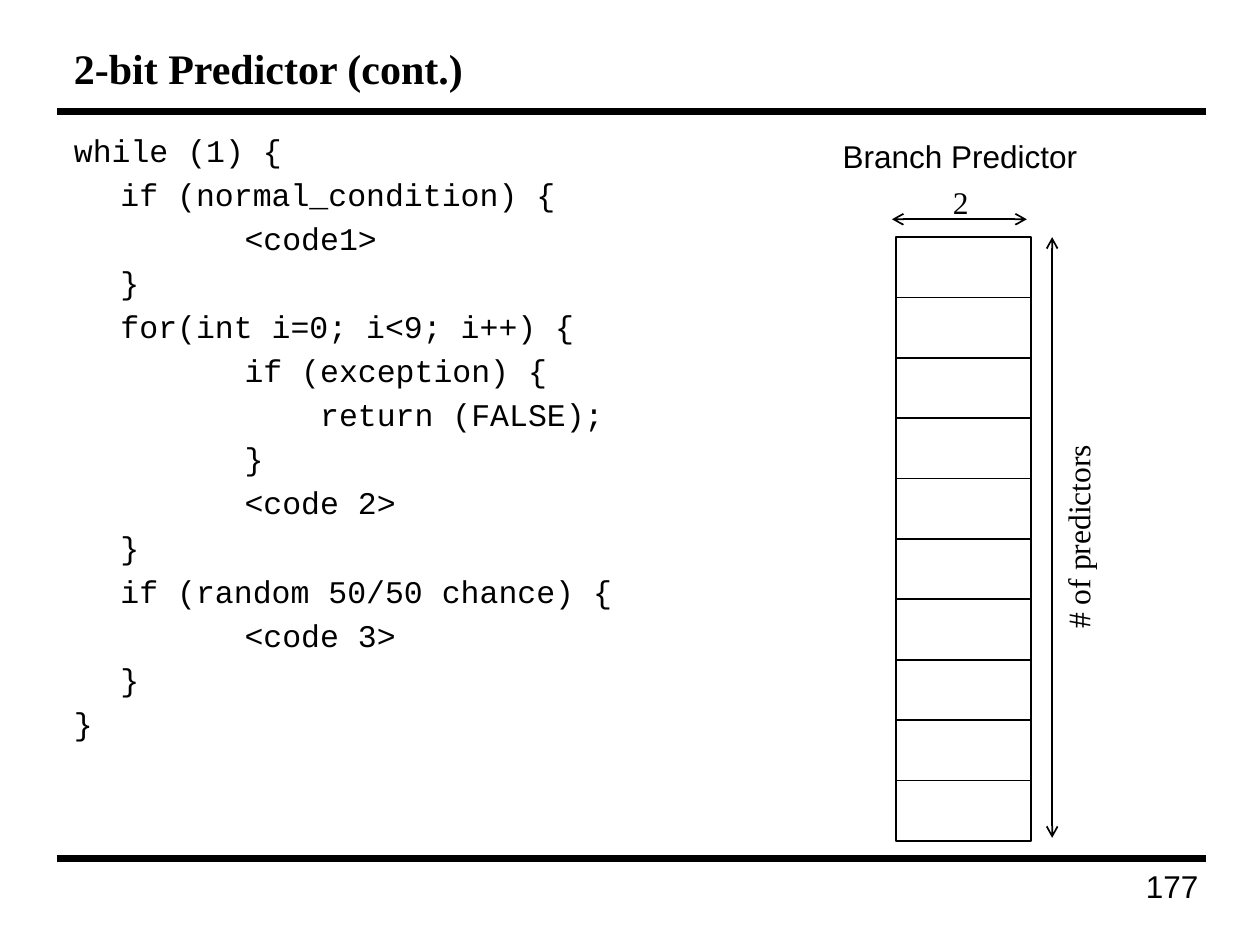
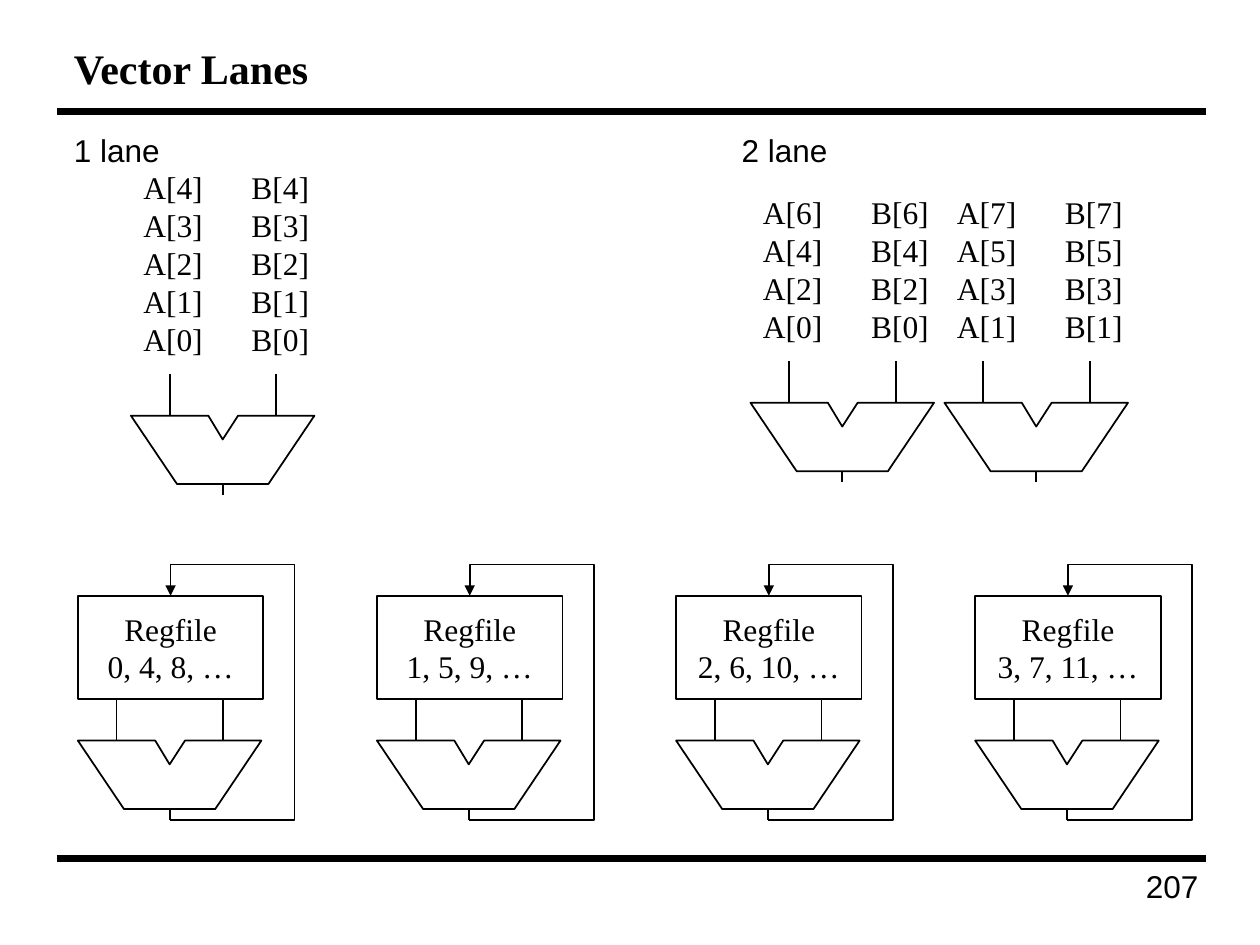
from pptx import Presentation
from pptx.dml.color import RGBColor
from pptx.enum.shapes import MSO_CONNECTOR as CONNECTOR, MSO_SHAPE as SHAPE
from pptx.enum.text import MSO_ANCHOR as ANCHOR, MSO_AUTO_SIZE as AUTO_SIZE, PP_ALIGN as ALIGN
from pptx.oxml.ns import qn
from pptx.util import Cm, Pt
from lxml import etree

BLACK = RGBColor(0, 0, 0)
WHITE = RGBColor(255, 255, 255)
SANS, SERIF, MONO = "Arial", "Times New Roman", "Courier New"
BODY_SIZE, TITLE_SIZE = 18, 24

RULE_LEFT, RULE_RIGHT = 1.14, 24.31
RULE_TOPS = (2.24, 17.3)
TEXT_LEFT, TEXT_WIDTH = 1.24, 22.96
BODY_TOP = 2.51

CODE_INDENTS = (0, 0.94, 3.44)
CODE = [
    (0, "while (1) {"),
    (1, "if (normal_condition) {"),
    (2, "<code1>"),
    (1, "}"),
    (1, "for(int i=0; i<9; i++) {"),
    (2, "if (exception) {"),
    (2, "    return (FALSE);"),
    (2, "}"),
    (2, "<code 2>"),
    (1, "}"),
    (1, "if (random 50/50 chance) {"),
    (2, "<code 3>"),
    (1, "}"),
    (0, "}"),
]

ALU_OUTLINE = [(0, 0), (0.93, 1.38), (2.77, 1.38), (3.7, 0),
               (2.16, 0), (1.85, 0.48), (1.56, 0)]
ALU_INPUTS = (0.78, 2.93)
ALU_OUTPUT, ALU_BOTTOM = 1.85, 1.38
INPUT_LENGTH, OUTPUT_LENGTH = 0.84, 0.22


def style_paragraph(paragraph, font_name=SERIF, size=BODY_SIZE, align=ALIGN.LEFT, bold=False):
    paragraph.alignment = align
    paragraph.line_spacing = Pt(1.2 * size)
    font = paragraph.font
    font.name, font.size, font.bold = font_name, Pt(size), bold
    font.color.rgb = BLACK


def write_lines(text_frame, lines, **style):
    for index, line in enumerate(lines):
        paragraph = text_frame.add_paragraph() if index else text_frame.paragraphs[0]
        paragraph.text = line
        style_paragraph(paragraph, **style)


def add_text(slide, left, top, width, height, lines, anchor=ANCHOR.TOP, **style):
    box = slide.shapes.add_textbox(Cm(left), Cm(top), Cm(width), Cm(height))
    text_frame = box.text_frame
    text_frame.word_wrap = True
    text_frame.auto_size = AUTO_SIZE.NONE
    text_frame.vertical_anchor = anchor
    write_lines(text_frame, lines, **style)
    return box


def add_arrowheads(shape, kind, *ends):
    line = shape.line._get_or_add_ln()
    for end in ends:
        etree.SubElement(line, qn(f"a:{end}"), type=kind)


def add_line(slide, start, end, width=1):
    ends = [Cm(value) for value in (*start, *end)]
    line = slide.shapes.add_connector(CONNECTOR.STRAIGHT, *ends)
    line.line.color.rgb = BLACK
    line.line.width = Pt(width)
    etree.SubElement(line._element.spPr, qn("a:effectLst"))
    return line


def add_double_arrow(slide, start, end):
    add_arrowheads(add_line(slide, start, end), "arrow", "headEnd", "tailEnd")


def style_outline(shape, filled=True):
    shape.shadow.inherit = False
    if filled:
        shape.fill.solid()
        shape.fill.fore_color.rgb = WHITE
    else:
        shape.fill.background()
    shape.line.color.rgb = BLACK
    shape.line.width = Pt(1)


def add_box(slide, left, top, width, height):
    box = slide.shapes.add_shape(SHAPE.RECTANGLE, Cm(left), Cm(top), Cm(width), Cm(height))
    style_outline(box)
    return box


def add_path(slide, points, closed):
    points = [(Cm(x), Cm(y)) for x, y in points]
    builder = slide.shapes.build_freeform(*points[0])
    builder.add_line_segments(points[1:], close=closed)
    path = builder.convert_to_shape()
    style_outline(path, filled=closed)
    return path


def add_alu(slide, left, top):
    add_path(slide, [(left + x, top + y) for x, y in ALU_OUTLINE], closed=True)
    for offset in ALU_INPUTS:
        add_line(slide, (left + offset, top - INPUT_LENGTH), (left + offset, top))
    output, bottom = left + ALU_OUTPUT, top + ALU_BOTTOM
    add_line(slide, (output, bottom), (output, bottom + OUTPUT_LENGTH))


def add_lane(slide, left, top, indexes):
    add_alu(slide, left, top)
    for vector, offset in (("A", 0), ("B", 2.18)):
        elements = [f"{vector}[{index}]" for index in indexes]
        add_text(slide, left + offset, top - 5.11, 2, 4.06, elements, anchor=ANCHOR.BOTTOM)


def add_register_lane(slide, left, registers):
    top, width, height = 12.01, 3.74, 2.08
    regfile = add_box(slide, left, top, width, height)
    regfile.text_frame.vertical_anchor = ANCHOR.MIDDLE
    write_lines(regfile.text_frame, ["Regfile", registers], align=ALIGN.CENTER)

    alu_top = top + height + INPUT_LENGTH
    add_alu(slide, left, alu_top)
    output, centre, right = left + ALU_OUTPUT, left + width / 2, left + 4.37
    loop_bottom, loop_top = alu_top + ALU_BOTTOM + OUTPUT_LENGTH, top - 0.63
    write_back = add_path(slide, [(output, loop_bottom), (right, loop_bottom), (right, loop_top),
                                  (centre, loop_top), (centre, top)], closed=False)
    add_arrowheads(write_back, "triangle", "tailEnd")


def add_framed_slide(presentation, title, number):
    slide = presentation.slides.add_slide(presentation.slide_layouts[6])
    for top in RULE_TOPS:
        add_line(slide, (RULE_LEFT, top), (RULE_RIGHT, top), width=4)
    add_text(slide, TEXT_LEFT, 0.64, TEXT_WIDTH, 1.47, [title],
             anchor=ANCHOR.MIDDLE, size=TITLE_SIZE, bold=True)
    add_text(slide, 19.2, 17.35, 5.21, 1.24, [str(number)], font_name=SANS, align=ALIGN.RIGHT)
    return slide


def add_code(slide):
    box = add_text(slide, TEXT_LEFT, BODY_TOP, TEXT_WIDTH, 14.63,
                   [line for _, line in CODE], font_name=MONO)
    for index, (paragraph, (level, _)) in enumerate(zip(box.text_frame.paragraphs, CODE)):
        paragraph._p.get_or_add_pPr().set("marL", str(Cm(CODE_INDENTS[level])))
        if index:
            paragraph.space_before = Pt(3.6)


def add_predictor_table(slide):
    left, top, width, height, rows = 18.06, 4.78, 2.72, 12.17, 10
    predictors = add_box(slide, left, top, width, height)
    for row in range(1, rows):
        y = top + height * row / rows
        divider = add_line(slide, (left, y), (left + width, y))
        if row * 2 == rows:
            divider.begin_connect(predictors, 1)
            divider.end_connect(predictors, 3)

    add_text(slide, 16.35, 2.64, 6, 1.02, ["Branch Predictor"], font_name=SANS, align=ALIGN.CENTER)
    add_text(slide, 18.87, 3.56, 1, 1.02, ["2"], align=ALIGN.CENTER)
    add_double_arrow(slide, (17.98, 4.42), (20.7, 4.42))
    add_double_arrow(slide, (21.21, top), (21.21, 16.89))
    count = add_text(slide, 15.62, 10.31, 12.22, 1.02, ["# of predictors"], align=ALIGN.CENTER)
    count.rotation = 270


def build_predictor_slide(presentation):
    slide = add_framed_slide(presentation, "2-bit Predictor (cont.)", 177)
    add_code(slide)
    add_predictor_table(slide)


def build_lanes_slide(presentation):
    slide = add_framed_slide(presentation, "Vector Lanes", 207)
    for left, heading in ((TEXT_LEFT, "1 lane"), (14.7, "2 lane")):
        add_text(slide, left, BODY_TOP, 5, 1.02, [heading], font_name=SANS)

    add_lane(slide, 2.64, 8.38, range(4, -1, -1))
    add_lane(slide, 15.13, 8.12, range(6, -1, -2))
    add_lane(slide, 19.04, 8.12, range(7, 0, -2))

    for lane in range(4):
        registers = ", ".join(str(lane + step) for step in (0, 4, 8))
        add_register_lane(slide, 1.57 + 6.03 * lane, f"{registers}, …")


def main():
    presentation = Presentation()
    presentation.slide_width, presentation.slide_height = Cm(25.4), Cm(19.05)
    build_predictor_slide(presentation)
    build_lanes_slide(presentation)
    presentation.save("out.pptx")


if __name__ == "__main__":
    main()
